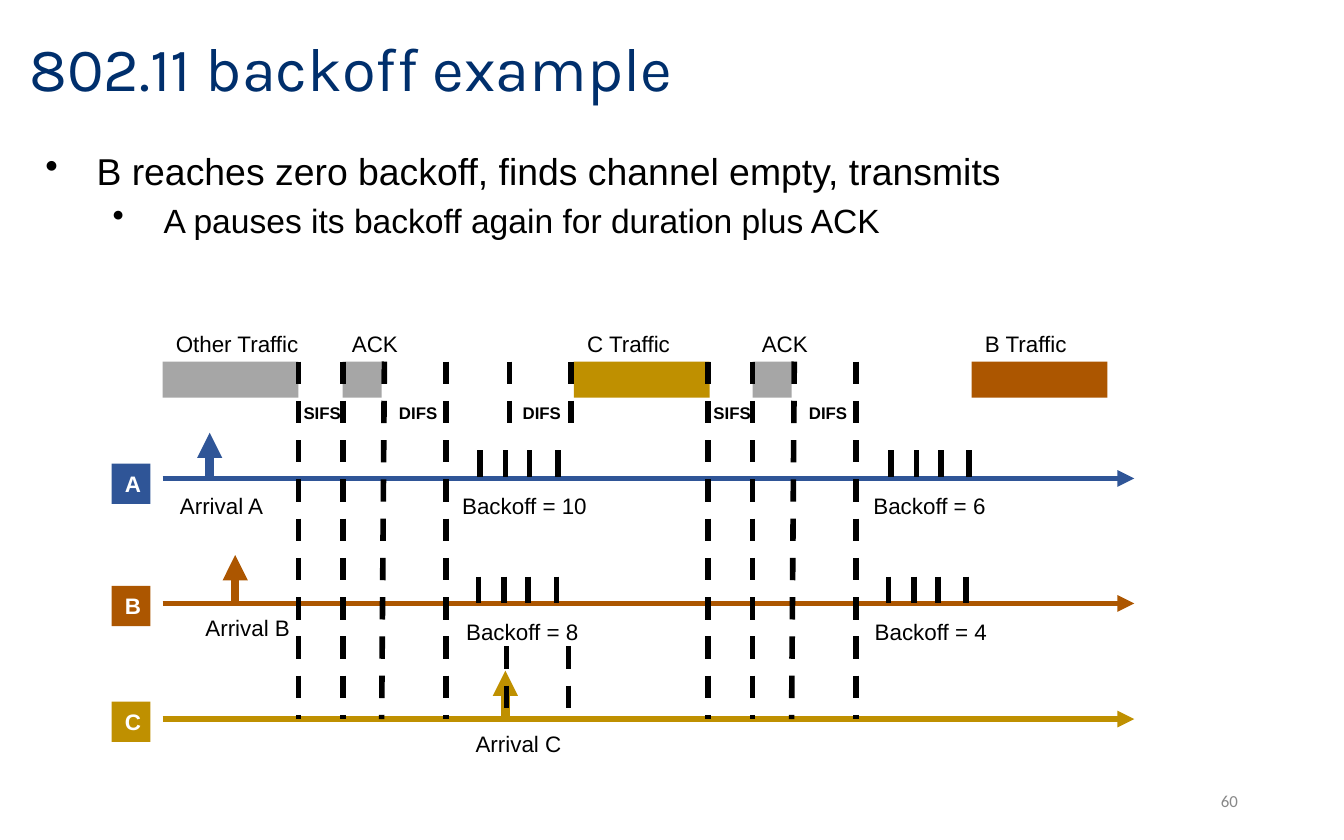
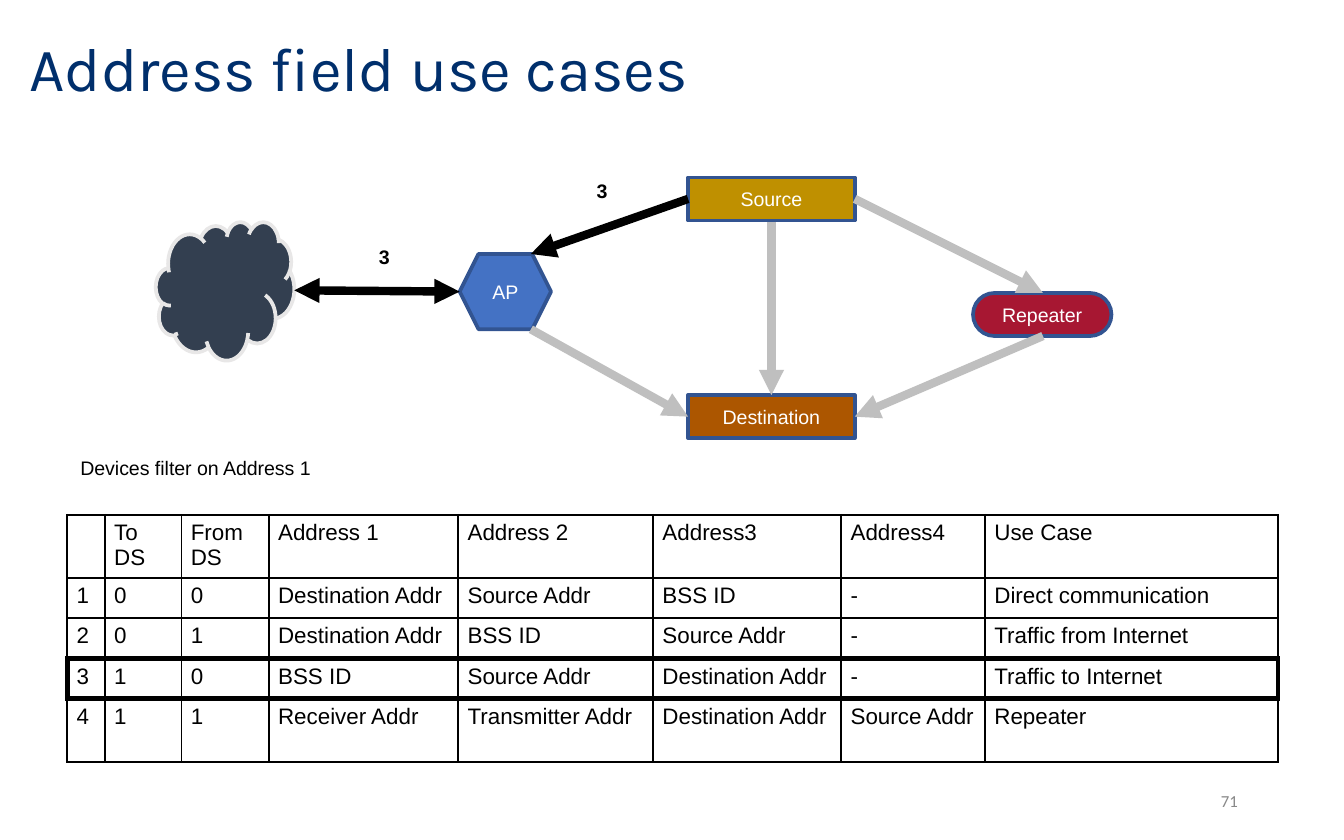
from dataclasses import dataclass

from lxml.etree import SubElement
from pptx import Presentation
from pptx.dml.color import RGBColor
from pptx.enum.dml import MSO_LINE_DASH_STYLE as Dash
from pptx.enum.shapes import MSO_CONNECTOR as Connector
from pptx.enum.shapes import MSO_SHAPE as Preset
from pptx.enum.text import MSO_ANCHOR as Anchor
from pptx.enum.text import MSO_AUTO_SIZE as AutoSize
from pptx.enum.text import PP_ALIGN as Align
from pptx.oxml.ns import qn
from pptx.slide import Slide
from pptx.util import Inches, Pt

Point = tuple[float, float]


def rgb(code: str) -> RGBColor:
    return RGBColor.from_string(code)


@dataclass(frozen=True)
class Theme:
    navy: RGBColor = rgb("002F6C")
    black: RGBColor = rgb("000000")
    white: RGBColor = rgb("FFFFFF")
    blue: RGBColor = rgb("2F5597")
    rust: RGBColor = rgb("AC5600")
    gold: RGBColor = rgb("BF9000")
    gray: RGBColor = rgb("A6A6A6")
    pale: RGBColor = rgb("BFBFBF")
    number: RGBColor = rgb("888888")
    outline: RGBColor = rgb("325491")
    slate: RGBColor = rgb("333F50")
    cloud_edge: RGBColor = rgb("E8E7E7")
    azure: RGBColor = rgb("4472C4")
    crimson: RGBColor = rgb("A71732")
    title_font: str = "Karla"
    body_font: str = "Arial"
    number_font: str = "Calibri"
    title_size: float = 33
    bullet_sizes: tuple[float, float] = (20, 18)
    text_size: float = 12
    node_size: float = 10.5
    small_size: float = 9


THEME = Theme()


@dataclass(frozen=True)
class Box:
    left: float
    top: float
    width: float
    height: float

    def lengths(self) -> list[int]:
        return [Inches(v) for v in (self.left, self.top, self.width, self.height)]


@dataclass(frozen=True)
class Style:
    size: float = THEME.text_size
    color: RGBColor = THEME.black
    font: str = THEME.body_font
    bold: bool = False


@dataclass(frozen=True)
class Station:
    name: str
    color: RGBColor
    axis: float
    arrival: float
    base: float


@dataclass(frozen=True)
class Traffic:
    owner: str
    color: RGBColor
    left: float


@dataclass(frozen=True)
class Backoff:
    count: int
    left: float
    top: float
    label_left: float


@dataclass(frozen=True)
class Node:
    text: str
    preset: Preset
    box: Box
    fill: RGBColor
    edge: RGBColor = THEME.outline


@dataclass(frozen=True)
class Link:
    start: Point
    end: Point
    color: RGBColor = THEME.pale
    both_ways: bool = False


STATIONS = [
    Station("A", THEME.blue, 3.56, 1.56, 3.56),
    Station("B", THEME.rust, 4.49, 1.75, 4.47),
    Station("C", THEME.gold, 5.35, 3.76, 5.33),
]
TRAFFIC = [
    Traffic("Other", THEME.gray, 1.21),
    Traffic("C", THEME.gold, 4.27),
    Traffic("B", THEME.rust, 7.23),
]
BACKOFFS = [
    Backoff(10, 3.57, 3.35, 3.34),
    Backoff(8, 3.56, 4.29, 3.37),
    Backoff(6, 6.63, 3.35, 6.4),
    Backoff(4, 6.61, 4.29, 6.41),
]
TICK_OFFSETS = (0, 0.19, 0.37, 0.58)
TRAFFIC_ENDS = (2.22, 5.27)
FENCE_OFFSETS = ((0, 0), (0.33, 0.33), (0.64, 0.62), (1.1, 1.1))
LANE_TOP, LANE_BOTTOM = 2.69, 5.35
SHORT_FENCES = ((3.79, 2.69), (4.25, 2.69), (3.77, 4.81), (4.23, 4.81))

NODES = [
    Node("", Preset.CLOUD, Box(1.16, 1.65, 1.03, 1.03), THEME.slate, THEME.cloud_edge),
    Node("AP", Preset.HEXAGON, Box(3.42, 1.89, 0.68, 0.56), THEME.azure),
    Node("Source", Preset.RECTANGLE, Box(5.12, 1.32, 1.24, 0.32), THEME.gold),
    Node("Destination", Preset.RECTANGLE, Box(5.12, 2.94, 1.24, 0.32), THEME.rust),
    Node("Repeater", Preset.ROUNDED_RECTANGLE, Box(7.24, 2.18, 1.03, 0.32), THEME.crimson),
]
LINKS = [
    Link((2.19, 2.16), (3.42, 2.17), THEME.black, True),
    Link((5.12, 1.48), (3.95, 1.89), THEME.black),
    Link((3.95, 2.45), (5.12, 3.1)),
    Link((5.74, 1.65), (5.74, 2.94)),
    Link((6.36, 1.48), (7.76, 2.18)),
    Link((7.76, 2.5), (6.36, 3.1)),
]
ADDRESS_ROWS = [
    ("", "To DS", "From DS", "Address 1", "Address 2", "Address3", "Address4", "Use Case"),
    ("1", "0", "0", "Destination Addr", "Source Addr", "BSS ID", "-", "Direct communication"),
    ("2", "0", "1", "Destination Addr", "BSS ID", "Source Addr", "-", "Traffic from Internet"),
    ("3", "1", "0", "BSS ID", "Source Addr", "Destination Addr", "-", "Traffic to Internet"),
    ("4", "1", "1", "Receiver Addr", "Transmitter Addr", "Destination Addr", "Source Addr", "Repeater"),
]
COLUMN_WIDTHS = (0.28, 0.57, 0.65, 1.41, 1.45, 1.4, 1.07, 2.18)
ROW_HEIGHTS = (0.47, 0.3, 0.3, 0.3, 0.47)
MARKED_ROW = 3


def format_runs(text_frame, style: Style) -> None:
    for para in text_frame.paragraphs:
        for span in para.runs:
            span.font.name = style.font
            span.font.size = Pt(style.size)
            span.font.bold = style.bold
            span.font.color.rgb = style.color


def add_text(page: Slide, box: Box, text: str, style: Style = Style(), fit: bool = True):
    frame = page.shapes.add_textbox(*box.lengths()).text_frame
    frame.word_wrap = True
    frame.auto_size = AutoSize.SHAPE_TO_FIT_TEXT if fit else AutoSize.NONE
    frame.text = text
    format_runs(frame, style)
    return frame


def add_block(page: Slide, box: Box, fill: RGBColor, preset: Preset = Preset.RECTANGLE):
    block = page.shapes.add_shape(preset, *box.lengths())
    block.shadow.inherit = False
    block.fill.solid()
    block.fill.fore_color.rgb = fill
    block.line.fill.background()
    return block


def add_line(page: Slide, start: Point, end: Point, color: RGBColor = THEME.black,
             width: float = 3, dashed: bool = False, arrows: tuple[str, ...] = ()) -> None:
    ends = [Inches(v) for v in (*start, *end)]
    connector = page.shapes.add_connector(Connector.STRAIGHT, *ends)
    connector.line.color.rgb = color
    connector.line.width = Pt(width)
    if dashed:
        connector.line.dash_style = Dash.DASH
    properties = connector._element.spPr
    for arrow in arrows:
        SubElement(properties.find(qn("a:ln")), qn(f"a:{arrow}"), type="triangle")
    SubElement(properties, qn("a:effectLst"))


def add_page(deck, title: str, number: int) -> Slide:
    page = deck.slides.add_slide(deck.slide_layouts[6])
    heading = add_text(page, Box(0.12, 0.1, 8.52, 0.86), title,
                       Style(THEME.title_size, THEME.navy, THEME.title_font), fit=False)
    heading.vertical_anchor = Anchor.MIDDLE
    heading.paragraphs[0].line_spacing = 0.9
    footer = add_text(page, Box(7.06, 5.79, 2.25, 0.33), str(number),
                      Style(THEME.small_size, THEME.number, THEME.number_font), fit=False)
    footer.vertical_anchor = Anchor.MIDDLE
    footer.paragraphs[0].alignment = Align.RIGHT
    return page


def add_bullets(page: Slide, box: Box, lines: tuple[str, ...]) -> None:
    frame = add_text(page, box, "\n".join(lines), fit=False)
    for level, para in enumerate(frame.paragraphs):
        properties = para._p.get_or_add_pPr()
        properties.set("marL", str(Inches(0.5 * (level + 1))))
        properties.set("indent", str(Inches(-0.38)))
        SubElement(properties, qn("a:buChar"), char="•")
        para.level = level
        para.runs[0].font.size = Pt(THEME.bullet_sizes[level])
        if level:
            para.space_before = Pt(3.8)


def add_station(page: Slide, station: Station) -> None:
    add_line(page, (1.21, station.axis), (8.44, station.axis), station.color, arrows=("tailEnd",))
    add_line(page, (station.arrival, station.base), (station.arrival, station.base - 0.34),
             station.color, 4.5, arrows=("tailEnd",))
    badge = add_block(page, Box(0.83, station.base - 0.11, 0.29, 0.3), station.color)
    frame = badge.text_frame
    frame.text = station.name
    frame.word_wrap = True
    frame.vertical_anchor = Anchor.TOP
    frame.paragraphs[0].alignment = Align.LEFT
    format_runs(frame, Style(color=THEME.white, bold=True))
    add_text(page, Box(station.arrival - 0.32, station.base + 0.05, 1.01, 0.3),
             f"Arrival {station.name}")


def add_gap_label(page: Slide, left: float, text: str) -> None:
    add_text(page, Box(left, 2.95, 0.72, 0.25), text, Style(THEME.small_size, bold=True))


def add_acknowledgement(page: Slide, left: float) -> None:
    add_block(page, Box(left + 0.33, LANE_TOP, 0.29, 0.27), THEME.gray)
    for top_offset, bottom_offset in FENCE_OFFSETS:
        add_line(page, (left + top_offset, LANE_TOP), (left + bottom_offset, LANE_BOTTOM), dashed=True)
    add_text(page, Box(left + 0.3, 2.41, 1.23, 0.3), "ACK")
    add_gap_label(page, left - 0.06, "SIFS")
    add_gap_label(page, left + 0.65, "DIFS")


def add_backoff(page: Slide, backoff: Backoff) -> None:
    for offset in TICK_OFFSETS:
        x = backoff.left + offset
        add_line(page, (x, backoff.top), (x, backoff.top + 0.2))
    add_text(page, Box(backoff.label_left, backoff.top + 0.26, 1.28, 0.3), f"Backoff = {backoff.count}")


def add_node(page: Slide, node: Node) -> None:
    shape = add_block(page, node.box, node.fill, node.preset)
    shape.line.color.rgb = node.edge
    shape.line.width = Pt(2)
    if node.preset == Preset.ROUNDED_RECTANGLE:
        shape.adjustments[0] = 0.5
    if node.text:
        frame = shape.text_frame
        frame.text = node.text
        frame.word_wrap = False
        frame.vertical_anchor = Anchor.MIDDLE
        frame.paragraphs[0].alignment = Align.CENTER
        format_runs(frame, Style(THEME.node_size, THEME.white))


def set_border(cell, side: str, width: float) -> None:
    line = SubElement(cell._tc.get_or_add_tcPr(), qn(f"a:ln{side}"), w=str(Pt(width)))
    fill = SubElement(line, qn("a:solidFill"))
    SubElement(fill, qn("a:srgbClr"), val=str(THEME.black))


def add_address_table(page: Slide, box: Box) -> None:
    table = page.shapes.add_table(len(ROW_HEIGHTS), len(COLUMN_WIDTHS), *box.lengths()).table
    table.first_row = table.horz_banding = False
    for column, width in zip(table.columns, COLUMN_WIDTHS):
        column.width = Inches(width)
    last = len(COLUMN_WIDTHS) - 1
    for r, (height, texts) in enumerate(zip(ROW_HEIGHTS, ADDRESS_ROWS)):
        table.rows[r].height = Inches(height)
        for c, text in enumerate(texts):
            cell = table.cell(r, c)
            cell.margin_left = cell.margin_right = Inches(0.07)
            cell.margin_top = cell.margin_bottom = Inches(0.04)
            cell.text = text
            format_runs(cell.text_frame, Style())
            thick = {"L": r == MARKED_ROW and c == 0, "R": r == MARKED_ROW and c == last,
                     "T": r in (MARKED_ROW, MARKED_ROW + 1), "B": r in (MARKED_ROW - 1, MARKED_ROW)}
            for side, is_thick in thick.items():
                set_border(cell, side, 3 if is_thick else 1)
            cell.fill.background()


def build_backoff_page(deck) -> None:
    page = add_page(deck, "802.11 backoff example", 60)
    add_bullets(page, Box(0.12, 1.05, 9.77, 4.58),
                ("B reaches zero backoff, finds channel empty, transmits",
                 "A pauses its backoff again for duration plus ACK"))
    for traffic in TRAFFIC:
        add_block(page, Box(traffic.left, LANE_TOP, 1.01, 0.27), traffic.color)
        add_text(page, Box(traffic.left, 2.41, 1.23, 0.3), f"{traffic.owner} Traffic")
    for station in STATIONS:
        add_station(page, station)
    for left in TRAFFIC_ENDS:
        add_acknowledgement(page, left)
    for x, top in SHORT_FENCES:
        add_line(page, (x, top), (x, top + 0.53), dashed=True)
    add_gap_label(page, 3.79, "DIFS")
    for backoff in BACKOFFS:
        add_backoff(page, backoff)


def build_address_page(deck) -> None:
    page = add_page(deck, "Address field use cases", 71)
    add_address_table(page, Box(0.5, 3.83, 9, 1.86))
    for node in NODES:
        add_node(page, node)
    for link in LINKS:
        arrows = ("headEnd", "tailEnd") if link.both_ways else ("tailEnd",)
        add_line(page, link.start, link.end, link.color, 4.5, arrows=arrows)
    for left, top in ((2.72, 1.77), (4.34, 1.28)):
        add_text(page, Box(left, top, 0.39, 0.28), "3", Style(THEME.node_size, bold=True))
    add_text(page, Box(0.5, 3.34, 3.6, 0.28), "Devices filter on Address 1", Style(THEME.node_size))


def main() -> None:
    deck = Presentation()
    deck.slide_width, deck.slide_height = Inches(10), Inches(6.25)
    build_backoff_page(deck)
    build_address_page(deck)
    deck.save("out.pptx")


if __name__ == "__main__":
    main()
